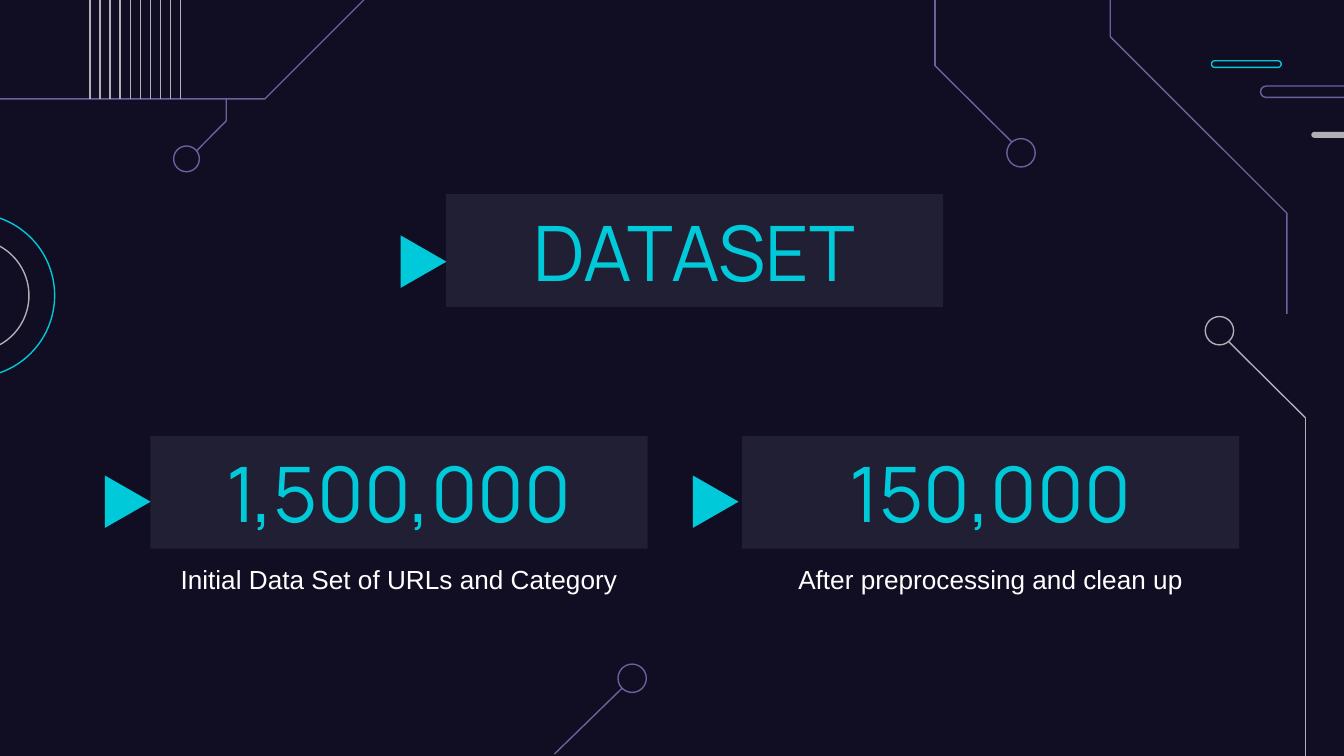
from lxml import etree
from pptx import Presentation
from pptx.dml.color import RGBColor
from pptx.enum.shapes import MSO_CONNECTOR, MSO_SHAPE
from pptx.enum.text import MSO_ANCHOR, MSO_AUTO_SIZE, PP_ALIGN
from pptx.oxml.ns import qn
from pptx.util import Pt

NAVY = RGBColor(0x11, 0x0E, 0x24)
CYAN = RGBColor(0x00, 0xCA, 0xDA)
PURPLE = RGBColor(0x69, 0x63, 0x9C)
GRAY = RGBColor(0xAF, 0xAF, 0xB6)
WHITE = RGBColor(0xFF, 0xFF, 0xFF)

STRAIGHT = MSO_CONNECTOR.STRAIGHT
OVAL = MSO_SHAPE.OVAL
PILL = MSO_SHAPE.ROUNDED_RECTANGLE
RECTANGLE = MSO_SHAPE.RECTANGLE
TRIANGLE = MSO_SHAPE.FLOWCHART_MERGE
CENTER = PP_ALIGN.CENTER
TOP, MIDDLE = MSO_ANCHOR.TOP, MSO_ANCHOR.MIDDLE
NO_AUTOFIT = MSO_AUTO_SIZE.NONE

prs = Presentation()
prs.slide_width, prs.slide_height = Pt(720), Pt(405)
slide = prs.slides.add_slide(prs.slide_layouts[5])
slide.background.fill.solid()
slide.background.fill.fore_color.rgb = NAVY
shapes = slide.shapes


def add_preset(preset, left, top, width, height, fill=None, line=None):
    shape = shapes.add_shape(preset, Pt(left), Pt(top), Pt(width), Pt(height))
    shape.shadow.inherit = False
    if fill is None:
        shape.fill.background()
    else:
        shape.fill.solid()
        shape.fill.fore_color.rgb = fill
    if line is None:
        shape.line.fill.background()
    else:
        shape.line.color.rgb = line
        shape.line.width = Pt(0.75)
    return shape


def write_text(box, left, top, width, height, text, font, size, color, anchor):
    box.left, box.top, box.width, box.height = Pt(left), Pt(top), Pt(width), Pt(height)
    frame = box.text_frame
    frame.word_wrap = True
    frame.auto_size = NO_AUTOFIT
    frame.vertical_anchor = anchor
    frame.margin_left = frame.margin_right = Pt(7.2)
    frame.margin_top = frame.margin_bottom = Pt(7.2)
    paragraph = frame.paragraphs[0]
    paragraph.alignment = CENTER
    run = paragraph.add_run()
    run.text = text
    run.font.name, run.font.size = font, Pt(size)
    run.font.color.rgb = color


# Pills at the top right
for left, top, width, height, fill, line in [
    (702.5, 70.6, 34.6, 3.2, GRAY, None),
    (649, 32.5, 37.4, 3.6, None, CYAN),
    (675.3, 46.1, 64.8, 6.1, None, PURPLE),
]:
    pill = add_preset(PILL, left, top, width, height, fill, line)
    pill.adjustments[0] = 0.5

# Rings: the left pair and the nodes of the circuit
for center_x, center_y, diameter, color in [
    (-14.6, 158.3, 87.8, CYAN),
    (-14.6, 158.3, 60.2, GRAY),
    (653.3, 177.2, 15.2, GRAY),
    (338.7, 363.4, 15.2, PURPLE),
    (99.9, 85.1, 13.8, PURPLE),
    (547, 81.9, 15.2, PURPLE),
]:
    add_preset(OVAL, center_x - diameter / 2, center_y - diameter / 2,
               diameter, diameter, line=color)

# Bent circuit traces, running on past the slide edges
for points in [
    [(236, -41.1), (141.9, 53), (-105.8, 53)],
    [(105.5, 80.6), (121.2, 64.8), (121.2, 53)],
    [(689.4, 168.2), (689.4, 114.2), (594.8, 19.6), (594.8, -33.8),
     (634.3, -72.7), (634.3, -119.5), (534.2, -177.1), (534.2, -304.6)],
]:
    vertices = [(Pt(x), Pt(y)) for x, y in points]
    builder = shapes.build_freeform(*vertices[0])
    builder.add_line_segments(vertices[1:], close=False)
    trace = builder.convert_to_shape()
    trace.shadow.inherit = False
    trace.fill.background()
    trace.line.color.rgb = PURPLE
    trace.line.width = Pt(0.75)

# Straight circuit traces and the ten evenly spaced bars
straight_traces = [
    (699.4, 223.9, 699.4, 434.2, GRAY),
    (699.4, 223.9, 658.2, 183, GRAY),
    (297, 404, 333.4, 368.6, PURPLE),
    (500.9, 35.2, 500.9, -175, PURPLE),
    (500.9, 35.2, 542.2, 76.2, PURPLE),
]
bars = [(48.2 + 5.4 * i, -250.6, 48.2 + 5.4 * i, 53, GRAY) for i in range(10)]
for x1, y1, x2, y2, color in straight_traces + bars:
    connector = shapes.add_connector(STRAIGHT, Pt(x1), Pt(y1), Pt(x2), Pt(y2))
    connector.line.color.rgb = color
    connector.line.width = Pt(0.75)
    etree.SubElement(connector._element.spPr, qn("a:effectLst"))

# Panels: the title and two figures with captions
PANEL_W, PANEL_H = 266.4, 60.5
for left, top, arrow_left, arrow_top, heading, caption in [
    (238.9, 104, 212.9, 127.9, "DATASET", None),
    (80.6, 233.5, 54.4, 256.5, "1,500,000", "Initial Data Set of URLs and Category"),
    (397.5, 233.5, 369.4, 256.5, "150,000", "After preprocessing and clean up"),
]:
    panel = add_preset(RECTANGLE, left, top, PANEL_W, PANEL_H) if caption else shapes.title
    panel.fill.solid()
    panel.fill.fore_color.rgb = WHITE
    tint = panel._element.spPr.find(qn("a:solidFill"))[0]
    etree.SubElement(tint, qn("a:alpha"), val="7500")
    write_text(panel, left, top, PANEL_W, PANEL_H, heading, "Manrope", 41, CYAN, MIDDLE)

    arrow = add_preset(TRIANGLE, arrow_left, arrow_top, 28.1, 24.5, fill=CYAN)
    arrow.rotation = 270

    if caption:
        caption_box = shapes.add_textbox(0, 0, 0, 0)
        write_text(caption_box, left, top + 61, PANEL_W, 30.2, caption, "Arial", 14, WHITE, TOP)

prs.save("out.pptx")
